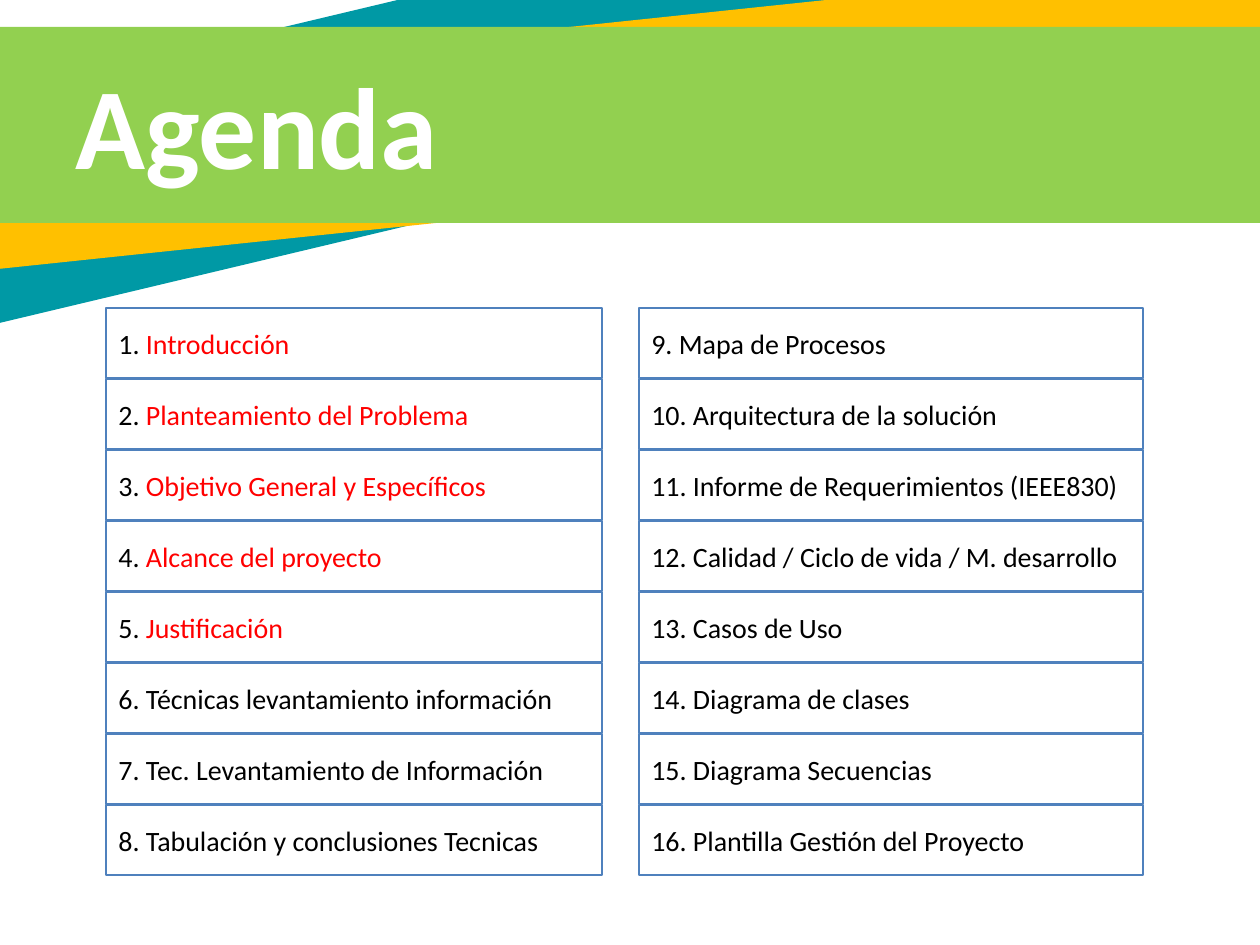
from dataclasses import dataclass

from pptx import Presentation
from pptx.dml.color import RGBColor as Rgb
from pptx.enum.shapes import MSO_SHAPE as Preset
from pptx.enum.text import MSO_ANCHOR as Anchor, MSO_AUTO_SIZE as AutoSize, PP_ALIGN as Align
from pptx.util import Emu, Pt

EMU_PER_PX = 914400 / 126


@dataclass(frozen=True)
class Theme:
    teal: str = "0099A5"
    amber: str = "FFC000"
    green: str = "92D050"
    outline: str = "4F81BD"
    white: str = "FFFFFF"
    black: str = "000000"
    red: str = "FF0000"
    font: str = "Calibri"
    title_size: int = 66
    item_size: int = 16
    line_width: float = 0.75


@dataclass(frozen=True)
class Band:
    left: int
    top: int
    width: int
    height: int
    color: str
    rotation: float = 0


@dataclass(frozen=True)
class Column:
    left: int
    width: int
    first_number: int
    topics: tuple[str, ...]


THEME = Theme()
ROW_TOP, ROW_HEIGHT, ROW_PITCH = 308, 70, 71
LAST_HIGHLIGHTED = 5

BANDS = (
    Band(-316, -23, 1646, 222, THEME.teal, 346.6),
    Band(-139, 25, 1465, 181, THEME.amber, 354),
    Band(-134, 27, 1465, 196, THEME.green),
)

COLUMNS = (
    Column(106, 496, 1, (
        "Introducción",
        "Planteamiento del Problema",
        "Objetivo General y Específicos",
        "Alcance del proyecto",
        "Justificación",
        "Técnicas levantamiento información",
        "Tec. Levantamiento de Información",
        "Tabulación y conclusiones Tecnicas",
    )),
    Column(639, 504, 9, (
        "Mapa de Procesos",
        "Arquitectura de la solución",
        "Informe de Requerimientos (IEEE830)",
        "Calidad / Ciclo de vida / M. desarrollo",
        "Casos de Uso",
        "Diagrama de clases",
        "Diagrama Secuencias",
        "Plantilla Gestión del Proyecto",
    )),
)


def px(length: int) -> Emu:
    return Emu(round(length * EMU_PER_PX))


def add_rectangle(page, left: int, top: int, width: int, height: int):
    box = page.shapes.add_shape(Preset.RECTANGLE, px(left), px(top), px(width), px(height))
    box.shadow.inherit = False
    return box


def add_span(para, text: str, *, size: int, color: str, bold: bool = False) -> None:
    span = para.add_run()
    span.text = text
    span.font.name = THEME.font
    span.font.size = Pt(size)
    span.font.bold = bold
    span.font.color.rgb = Rgb.from_string(color)


def left_para(box):
    """Prepare a left-aligned, vertically centred first paragraph."""
    frame = box.text_frame
    frame.word_wrap = True
    frame.auto_size = AutoSize.NONE
    frame.vertical_anchor = Anchor.MIDDLE
    para = frame.paragraphs[0]
    para.alignment = Align.LEFT
    return para


def add_band(page, band: Band) -> None:
    box = add_rectangle(page, band.left, band.top, band.width, band.height)
    box.rotation = band.rotation
    box.fill.solid()
    box.fill.fore_color.rgb = Rgb.from_string(band.color)
    box.line.fill.background()


def place_title(page, text: str) -> None:
    title = page.shapes.title
    title.left, title.top, title.width, title.height = px(63), px(62), px(829), px(122)
    add_span(left_para(title), text, size=THEME.title_size, color=THEME.white, bold=True)
    # The title must lie in front of the bands.
    title.element.getparent().append(title.element)


def add_column(page, column: Column) -> None:
    for row, topic in enumerate(column.topics):
        number = column.first_number + row
        box = add_rectangle(page, column.left, ROW_TOP + row * ROW_PITCH, column.width, ROW_HEIGHT)
        box.fill.background()
        box.line.color.rgb = Rgb.from_string(THEME.outline)
        box.line.width = Pt(THEME.line_width)
        para = left_para(box)
        color = THEME.red if number <= LAST_HIGHLIGHTED else THEME.black
        add_span(para, f"{number}. ", size=THEME.item_size, color=THEME.black)
        add_span(para, topic, size=THEME.item_size, color=color)


def main() -> None:
    deck = Presentation()
    deck.slide_width, deck.slide_height = px(1260), px(945)
    page = deck.slides.add_slide(deck.slide_layouts.get_by_name("Title Only"))
    for band in BANDS:
        add_band(page, band)
    place_title(page, "Agenda")
    for column in COLUMNS:
        add_column(page, column)
    deck.save("out.pptx")


if __name__ == "__main__":
    main()
